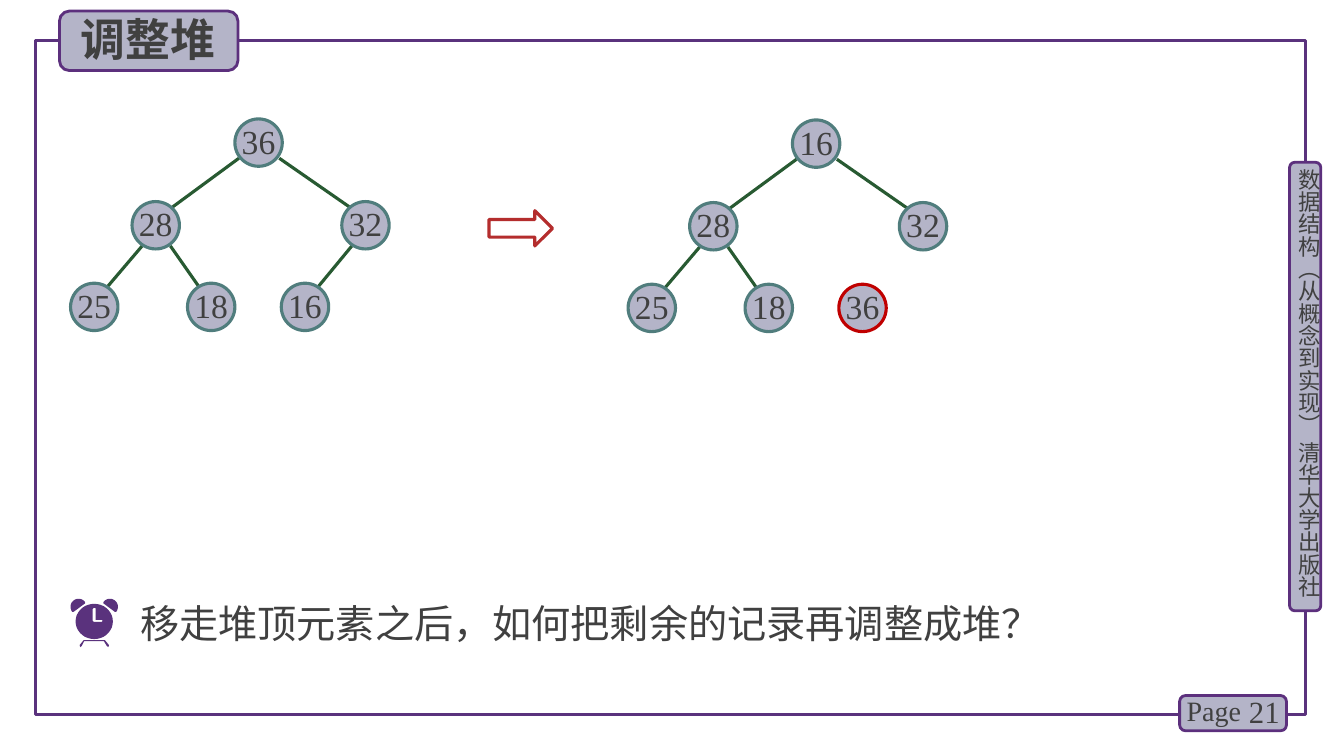
from math import cos, radians, sin

from lxml import etree
from pptx import Presentation
from pptx.dml.color import RGBColor
from pptx.enum import shapes, text
from pptx.oxml import ns
from pptx.util import Pt

SCALE = 9144  # EMU per px, 100 px to the inch
FINE = 10  # outline units per px

PURPLE = RGBColor(0x5A, 0x32, 0x7D)
BADGE_EDGE = RGBColor(0x5C, 0x30, 0x7D)
LILAC = RGBColor(0xB4, 0xB4, 0xC8)
GREY = RGBColor(0x40, 0x40, 0x40)
TEAL = RGBColor(0x50, 0x7D, 0x7D)
GREEN = RGBColor(0x28, 0x5A, 0x32)
BRICK = RGBColor(0xB4, 0x2D, 0x2D)
RED = RGBColor(0xC0, 0x00, 0x00)
WHITE = RGBColor(0xFF, 0xFF, 0xFF)

SANS = "Noto Sans CJK SC"
SERIF = "Times New Roman"
MARGINS = ("margin_left", "margin_top", "margin_right", "margin_bottom")
Shape = shapes.MSO_SHAPE
Align = text.PP_ALIGN

# Node centres in level order, and per level the edge ends as seen
# from the parent and child centres (x counts towards the other node).
HEAP_SPOTS = [(257, 142), (155, 224), (363, 224), (94, 305), (210, 305), (303, 305)]
EDGE_ENDS = [((20, 15), (14, -17)), ((14, 20), (13, -21))]


def px(n):
    return round(n * SCALE)


def set_all(obj, values):
    for name, value in values.items():
        setattr(obj, name, value)


def arc(cx, cy, rx, ry, start, end):
    angles = (radians(start + (end - start) * i / 36) for i in range(37))
    return [(cx + rx * cos(a), cy + ry * sin(a)) for a in angles]


class SlideBuilder:
    def __init__(self, prs):
        self.slide = prs.slides.add_slide(prs.slide_layouts[5])
        self.shapes = self.slide.shapes
        background = self.slide.background.fill
        background.solid()
        background.fore_color.rgb = WHITE

    def paint(self, sp, fill=None, line=None, width=2.25):
        sp.shadow.inherit = False
        if fill is None:
            sp.fill.background()
        else:
            sp.fill.solid()
            sp.fill.fore_color.rgb = fill
        if line is None:
            sp.line.fill.background()
        else:
            sp.line.color.rgb = line
            sp.line.width = Pt(width)

    def shape(self, kind, box, **style):
        sp = self.shapes.add_shape(kind, *map(px, box))
        self.paint(sp, **style)
        return sp

    def badge(self, box):
        self.shape(Shape.ROUNDED_RECTANGLE, box, fill=LILAC, line=BADGE_EDGE, width=2)

    def set_text(self, sp, words, size, font, bold=False, inset=True, align=Align.LEFT,
                 anchor=text.MSO_ANCHOR.TOP, wrap=True, spacing=None):
        tf = sp.text_frame
        set_all(tf, {"word_wrap": wrap, "vertical_anchor": anchor,
                     "auto_size": text.MSO_AUTO_SIZE.NONE})
        if not inset:
            set_all(tf, dict.fromkeys(MARGINS, 0))
        p = tf.paragraphs[0]
        set_all(p, {"alignment": align, "line_spacing": spacing})
        r = p.add_run()
        r.text = words
        set_all(r.font, {"size": Pt(size), "name": font, "bold": bold})
        r.font.color.rgb = GREY
        east = etree.SubElement(r._r.get_or_add_rPr(), ns.qn("a:ea"))
        east.set("typeface", font)

    def label(self, box, words, size, font, **style):
        sp = self.shapes.add_textbox(*map(px, box))
        self.set_text(sp, words, size, font, **style)
        return sp

    def title(self, box, words):
        """Place the title above the shapes drawn so far."""
        sp = self.shapes.title
        set_all(sp, dict(zip(("left", "top", "width", "height"), map(px, box))))
        self.set_text(sp, words, 32, SANS, bold=True)
        self.shapes._spTree.append(sp._element)

    def edge(self, start, end):
        c = self.shapes.add_connector(shapes.MSO_CONNECTOR.STRAIGHT,
                                      *map(px, start + end))
        c.line.color.rgb = GREEN
        c.line.width = Pt(2.25)
        etree.SubElement(c._element.spPr, ns.qn("a:effectLst"))

    def outline(self, *contours):
        """Fill closed contours; a later contour cuts a hole."""
        fine = [[(x * FINE, y * FINE) for x, y in c] for c in contours]
        builder = self.shapes.build_freeform(*fine[0][0], scale=SCALE / FINE)
        builder.add_line_segments(fine[0][1:])
        for hole in fine[1:]:
            builder.move_to(*hole[0])
            builder.add_line_segments(hole[1:])
        self.paint(builder.convert_to_shape(), fill=PURPLE)

    def node(self, x, y, value, line):
        sp = self.shape(Shape.OVAL, (x - 24, y - 24, 47, 47), fill=LILAC, line=line)
        self.set_text(sp, value, 24, SERIF, inset=False, align=Align.CENTER,
                      wrap=False, spacing=Pt(25))

    def heap(self, dx, dy, values, removed=None):
        """Draw a heap in level order; the removed node stands alone in red."""
        spots = [(x + dx, y + dy) for x, y in HEAP_SPOTS]
        for i, (x, y) in enumerate(spots):
            if i in (0, removed):
                continue
            parent_x, parent_y = spots[(i - 1) // 2]
            (ax, ay), (bx, by) = EDGE_ENDS[i > 2]
            side = 1 if x > parent_x else -1
            self.edge((parent_x + side * ax, parent_y + ay), (x - side * bx, y + by))
        for i, (x, y) in enumerate(spots):
            self.node(x, y, str(values[i]), RED if i == removed else TEAL)

    def alarm_clock(self):
        middle = 93.5
        self.outline([(83, 635), (104, 635), (108, 640), (107.5, 642), (106, 641),
                      (103, 636), (83.5, 636), (81, 641), (79.5, 642), (79, 640)])
        bell = arc(78, 602, 8, 8, 140, 322) + [(84.5, 598.5), (73, 607)]
        self.outline(bell)
        self.outline([(2 * middle - x, y) for x, y in bell])
        hands = [(92, 604), (93, 603), (94.5, 603), (95, 604), (95, 615), (101, 615),
                 (102, 616), (101, 617), (93, 617), (92, 616)]
        self.outline(arc(middle, 616.5, 18.5, 17.5, 0, 360), hands)


def main():
    prs = Presentation()
    prs.slide_width, prs.slide_height = px(1333), px(750)
    s = SlideBuilder(prs)

    s.shape(Shape.RECTANGLE, (35, 40, 1260, 669), line=PURPLE)
    s.badge((1279, 161, 31, 445))
    side = s.label((1285, 167, 27, 449), "数据结构（从概念到实现） 清华大学出版社",
                   16, SANS, inset=False)
    side.text_frame._txBody.bodyPr.set("vert", "eaVert")
    s.badge((1170, 690, 106, 35))
    s.label((1220, 686, 59, 40), "21", 22, SERIF, align=Align.RIGHT,
            anchor=text.MSO_ANCHOR.MIDDLE)
    s.label((1167, 683, 78, 44), "Page", 20, SERIF)
    s.badge((59, 11, 177, 59))
    s.title((70, 7, 163, 64), "调整堆")

    s.alarm_clock()
    s.label((139, 595, 987, 47), "移走堆顶元素之后，如何把剩余的记录再调整成堆？",
            28, SANS, inset=False)

    s.heap(0, 0, [36, 28, 32, 25, 18, 16])
    s.shape(Shape.RIGHT_ARROW, (485, 209, 63, 35), line=BRICK)
    s.heap(553, 1, [16, 28, 32, 25, 18, 36], removed=5)

    prs.save("out.pptx")


if __name__ == "__main__":
    main()
